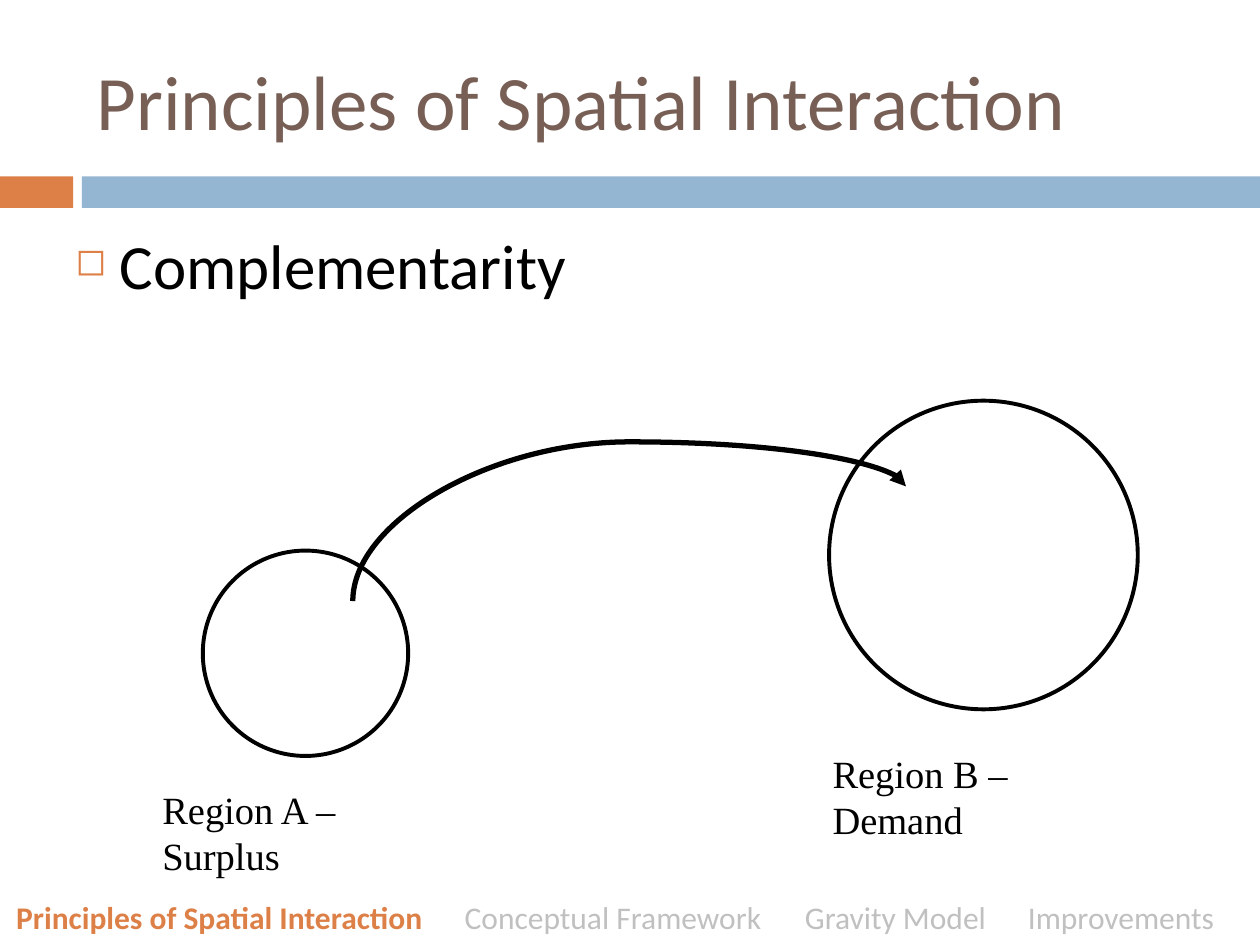
from dataclasses import dataclass

from pptx import Presentation
from pptx.dml.color import RGBColor
from pptx.enum.shapes import MSO_CONNECTOR, MSO_SHAPE
from pptx.enum.text import MSO_ANCHOR, MSO_AUTO_SIZE
from pptx.oxml.ns import qn
from pptx.util import Inches, Pt
from lxml import etree

RECTANGLE, OVAL = MSO_SHAPE.RECTANGLE, MSO_SHAPE.OVAL
CURVE = MSO_CONNECTOR.CURVE
TOP, MIDDLE = MSO_ANCHOR.TOP, MSO_ANCHOR.MIDDLE
GROW = MSO_AUTO_SIZE.SHAPE_TO_FIT_TEXT


@dataclass(frozen=True)
class Theme:
    orange: str = "DD8047"
    blue: str = "94B6D2"
    brown: str = "775F55"
    black: str = "000000"
    gray: str = "C0C0C0"
    sans: str = "Calibri"
    serif: str = "Times New Roman"
    title_size: int = 44
    body_size: int = 36
    label_size: int = 22
    footer_size: int = 18


THEME = Theme()


def color(hex_code):
    return RGBColor.from_string(hex_code)


def add_child(parent, tag, **attributes):
    child = etree.SubElement(parent, qn(tag))
    for key, value in attributes.items():
        child.set(key, str(value))
    return child


def add_band(slide, left, width, fill):
    band = slide.shapes.add_shape(
        RECTANGLE, Inches(left), Inches(1.4), Inches(width), Inches(0.25))
    band.shadow.inherit = False
    band.fill.solid()
    band.fill.fore_color.rgb = color(fill)
    band.line.fill.background()


def add_region(slide, left, top, diameter):
    region = slide.shapes.add_shape(
        OVAL, Inches(left), Inches(top), Inches(diameter), Inches(diameter))
    region.shadow.inherit = False
    region.fill.background()
    region.line.color.rgb = color(THEME.black)
    region.line.width = Pt(2.25)


def add_text(slide, left, top, width, height, anchor=TOP, grow=False):
    """Add a wrapping text box and return its first paragraph."""
    box = slide.shapes.add_textbox(
        Inches(left), Inches(top), Inches(width), Inches(height))
    frame = box.text_frame
    frame.word_wrap = True
    frame.vertical_anchor = anchor
    if grow:
        frame.auto_size = GROW
    return frame.paragraphs[0]


def add_run(paragraph, text, size, font, ink, bold=False):
    run = paragraph.add_run()
    run.text = text
    run.font.size = Pt(size)
    run.font.name = font
    run.font.bold = bold
    run.font.color.rgb = color(ink)


def add_bullet(paragraph):
    paragraph.space_before = Pt(7)
    properties = paragraph._p.get_or_add_pPr()
    properties.set("marL", str(Inches(0.35)))
    properties.set("indent", str(Inches(-0.35)))
    bullet_color = add_child(properties, "a:buClr")
    add_child(bullet_color, "a:srgbClr", val=THEME.orange)
    add_child(properties, "a:buSzPct", val=60000)
    add_child(properties, "a:buChar", char="◻")


def add_tab_stops(paragraph, stops):
    tab_list = add_child(paragraph._p.get_or_add_pPr(), "a:tabLst")
    for stop in stops:
        add_child(tab_list, "a:tab", pos=Inches(stop), algn="l")


def add_flow(slide, left, top, width, height):
    """Curved arrow: a quarter turn makes it leave upward and arrive downward."""
    flow = slide.shapes.add_connector(
        CURVE, Inches(left), Inches(top), Inches(left + width), Inches(top + height))
    flow.line.color.rgb = color(THEME.black)
    flow.line.width = Pt(3)
    add_child(flow.line._get_or_add_ln(), "a:tailEnd", type="triangle")
    properties = flow._element.spPr
    properties.find(qn("a:xfrm")).set("rot", str(270 * 60000))
    geometry = properties.find(qn("a:prstGeom"))
    adjustments = geometry.find(qn("a:avLst"))
    if adjustments is None:
        adjustments = add_child(geometry, "a:avLst")
    add_child(adjustments, "a:gd", name="adj1", fmla="val 138900")
    add_child(properties, "a:effectLst")


def add_footer(slide, current, others, stops):
    footer = add_text(slide, 0.03, 7.08, 9.95, 0.4, grow=True)
    add_tab_stops(footer, stops)
    add_run(footer, current, THEME.footer_size, THEME.sans, THEME.orange, bold=True)
    for section in others:
        add_run(footer, "\t" + section, THEME.footer_size, THEME.sans, THEME.gray)


def main():
    presentation = Presentation()
    presentation.slide_width = Inches(10)
    presentation.slide_height = Inches(7.5)
    slide = presentation.slides.add_slide(presentation.slide_layouts[6])
    topic = "Principles of Spatial Interaction"

    # Header
    add_band(slide, 0, 0.58, THEME.orange)
    add_band(slide, 0.65, 9.35, THEME.blue)
    title = add_text(slide, 0.67, 0.25, 8.92, 1.08, anchor=MIDDLE)
    add_run(title, topic, THEME.title_size, THEME.sans, THEME.brown)

    # Principle
    principle = add_text(slide, 0.5, 1.75, 9.28, 4.95)
    add_bullet(principle)
    add_run(principle, "Complementarity", THEME.body_size, THEME.sans, THEME.black)

    # Regions and the flow from surplus to demand
    add_region(slide, 1.61, 4.37, 1.63)
    add_region(slide, 6.58, 3.18, 2.45)
    add_flow(slide, 4.54, 2.12, 0.91, 4.39)
    for name, left, top, width in (("Region A – Surplus", 1.19, 6.19, 2.51),
                                   ("Region B – Demand", 6.51, 5.9, 2.64)):
        label = add_text(slide, left, top, width, 0.47, grow=True)
        add_run(label, name, THEME.label_size, THEME.serif, THEME.black)

    # Section tracker
    add_footer(slide, topic,
               ("Conceptual Framework", "Gravity Model", "Improvements"),
               (3.56, 6.26, 8.03))

    presentation.save("out.pptx")


if __name__ == "__main__":
    main()
